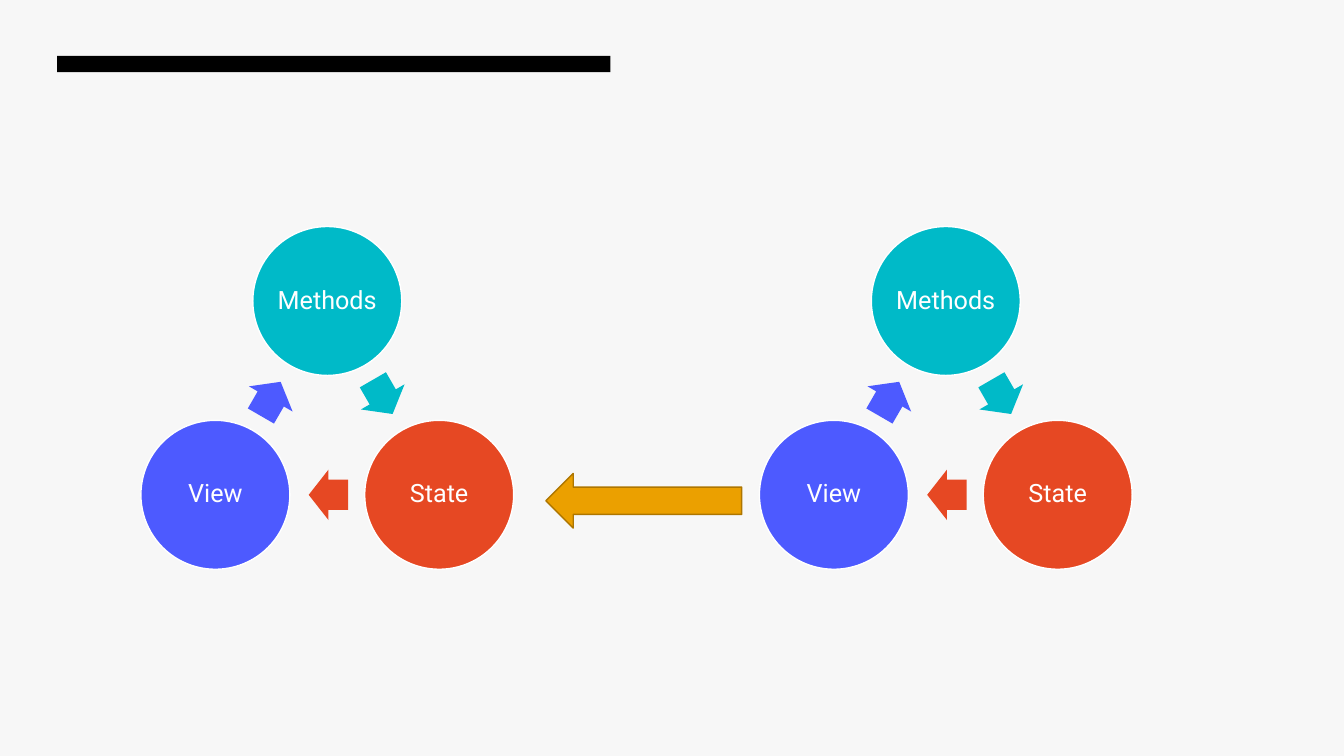
"""Builds a slide with two state cycles linked by an arrow."""
from dataclasses import dataclass
from math import cos, radians, sin

from pptx import Presentation
from pptx.dml.color import RGBColor
from pptx.enum.shapes import MSO_SHAPE
from pptx.enum.text import MSO_ANCHOR, PP_ALIGN
from pptx.util import Pt

RECTANGLE = MSO_SHAPE.RECTANGLE
OVAL = MSO_SHAPE.OVAL
RIGHT_ARROW = MSO_SHAPE.RIGHT_ARROW
LEFT_ARROW = MSO_SHAPE.LEFT_ARROW
MIDDLE = MSO_ANCHOR.MIDDLE
CENTER = PP_ALIGN.CENTER


@dataclass(frozen=True)
class Theme:
    background: str = "F7F7F7"
    bar: str = "000000"
    white: str = "FFFFFF"
    teal: str = "00BAC8"
    red: str = "E64823"
    blue: str = "4D5AFF"
    amber: str = "EBA000"
    amber_edge: str = "AE7600"
    font: str = "Roboto"
    label_size: float = 18


def write_text(shape, text, *, font, size, color, inset=2.16, spacing=0.9, after=6.3):
    frame = shape.text_frame
    frame.word_wrap = True
    frame.vertical_anchor = MIDDLE
    frame.margin_left = frame.margin_right = Pt(inset)
    frame.margin_top = frame.margin_bottom = Pt(inset)
    para = frame.paragraphs[0]
    para.alignment = CENTER
    para.line_spacing = spacing
    para.space_after = Pt(after)
    span = para.add_run()
    span.text = text
    span.font.name = font
    span.font.size = Pt(size)
    span.font.color.rgb = RGBColor.from_string(color)


class Page:
    def __init__(self, slide, theme):
        self.slide = slide
        self.theme = theme
        fill = slide.background.fill
        fill.solid()
        fill.fore_color.rgb = RGBColor.from_string(theme.background)

    def shape(self, kind, left, top, width, height, fill, line=None):
        box = self.slide.shapes.add_shape(kind, Pt(left), Pt(top), Pt(width), Pt(height))
        box.shadow.inherit = False
        box.fill.solid()
        box.fill.fore_color.rgb = RGBColor.from_string(fill)
        if line:
            box.line.color.rgb = RGBColor.from_string(line)
            box.line.width = Pt(1)
        else:
            box.line.fill.background()
        return box

    def node(self, x, y, diameter, text, color):
        radius = diameter / 2
        circle = self.shape(OVAL, x - radius, y - radius, diameter, diameter,
                            color, self.theme.white)
        write_text(circle, text, font=self.theme.font,
                   size=self.theme.label_size, color=self.theme.white)

    def turn_arrow(self, x, y, rotation, color, width=28.2, height=36):
        arrow = self.shape(RIGHT_ARROW, x - width / 2, y - height / 2, width, height, color)
        arrow.adjustments[0] = 0.6
        arrow.adjustments[1] = 0.5
        arrow.rotation = rotation

    def cycle(self, x, y, steps, radius=92.3, diameter=106.4, lag=0.8):
        turn = 360 / len(steps)
        reach = radius * cos(radians(turn / 2))
        for index, (text, color) in enumerate(steps):
            angle = radians(index * turn - 90)
            self.node(x + radius * cos(angle), y + radius * sin(angle),
                      diameter, text, color)
            between = angle + radians(turn / 2)
            heading = between + radians(90)
            self.turn_arrow(x + reach * cos(between) - lag * cos(heading),
                            y + reach * sin(between) - lag * sin(heading),
                            (index + 0.5) * turn, color)


def main():
    deck = Presentation()
    deck.slide_width, deck.slide_height = Pt(960), Pt(540)
    theme = Theme()
    page = Page(deck.slides.add_slide(deck.slide_layouts[6]), theme)
    page.shape(RECTANGLE, 40.8, 40, 395.3, 11.6, theme.bar)
    steps = [("Methods", theme.teal), ("State", theme.red), ("View", theme.blue)]
    for center in (233.8, 675.6):
        page.cycle(center, 307.3, steps)
    page.shape(LEFT_ARROW, 390, 338.2, 139.8, 39, theme.amber, theme.amber_edge)
    deck.save("out.pptx")


if __name__ == "__main__":
    main()
